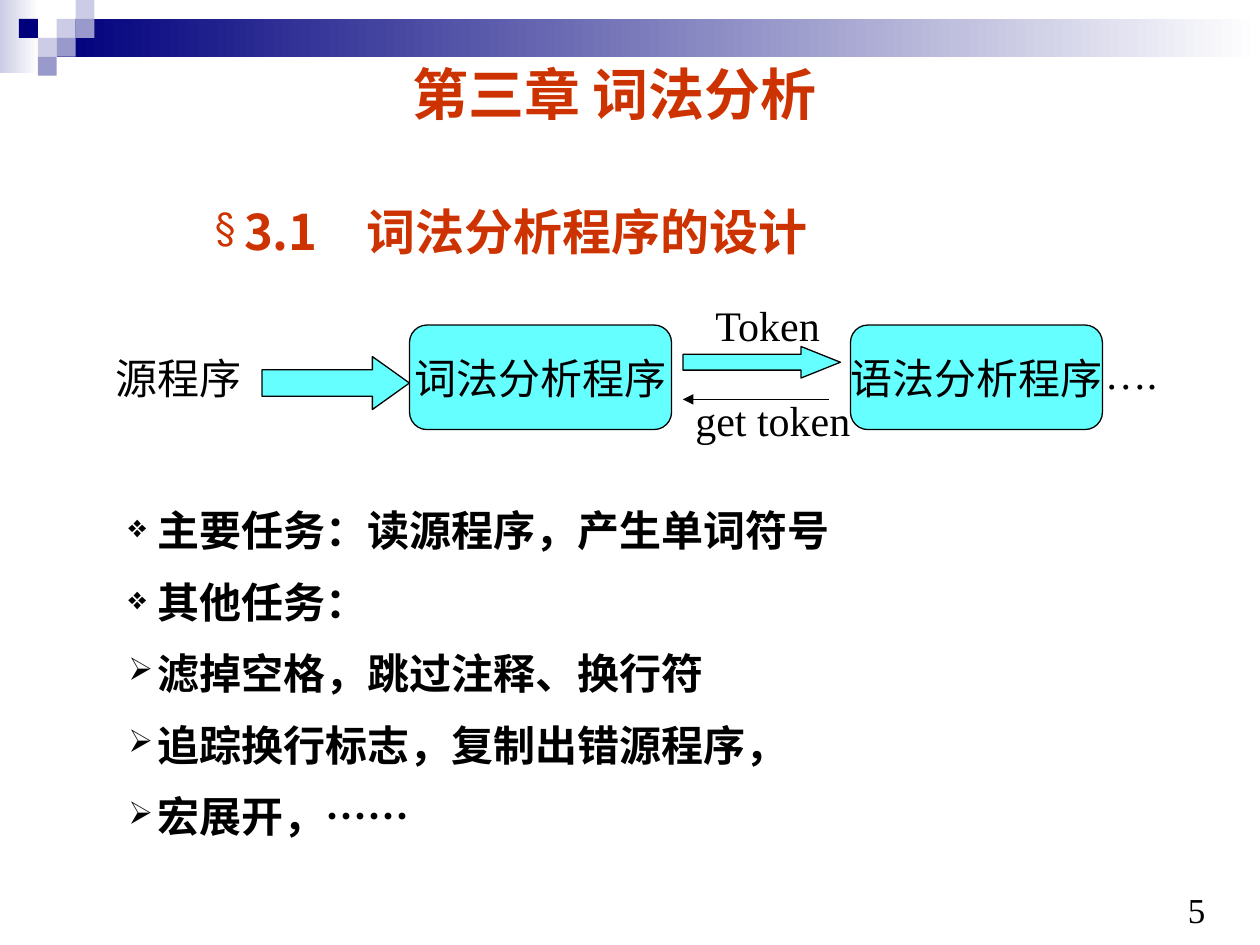
from lxml import etree
from pptx import Presentation
from pptx import util as u
from pptx.dml.color import RGBColor
from pptx.enum import shapes, text
from pptx.oxml.ns import qn

COLORS = {
    "navy": "00007D", "violet": "9999CC", "lilac": "CCCCE6", "white": "FFFFFF",
    "black": "000000", "red": "CC3300", "cyan": "66FFFF",
}
SERIF = "Times New Roman"
SANS = "Noto Sans CJK SC"
KIND = shapes.MSO_SHAPE


def rgb(name):
    """Return the named colour."""
    return RGBColor.from_string(COLORS[name])


def inches(box):
    """Turn a tuple of inch values into lengths."""
    return [u.Inches(value) for value in box]


def style(paragraph, size, color="black", face=SERIF, bold=False):
    """Set the font of a paragraph, with the Chinese face beside the Latin one."""
    font = paragraph.font
    font.size, font.bold, font.name = u.Pt(size), bold, face
    font.color.rgb = rgb(color)
    defaults = paragraph._p.pPr.find(qn("a:defRPr"))
    etree.SubElement(defaults, qn("a:ea"), typeface=SANS)


def add_bullet(paragraph, mark, color):
    """Give a paragraph a hanging bullet at three quarters of the text size."""
    properties = paragraph._p.get_or_add_pPr()
    hang = u.Inches(0.23)
    properties.set("marL", str(hang))
    properties.set("indent", str(-hang))
    tint = etree.SubElement(properties, qn("a:buClr"))
    etree.SubElement(tint, qn("a:srgbClr"), val=COLORS[color])
    etree.SubElement(properties, qn("a:buSzPct"), val="75000")
    etree.SubElement(properties, qn("a:buChar"), char=mark)


def add_block(slide, box, fill, kind=KIND.RECTANGLE, line=None, adjust=()):
    """Add a preset shape, filled with one colour or a pair to blend."""
    block = slide.shapes.add_shape(kind, *inches(box))
    block.shadow.inherit = False
    for index, value in enumerate(adjust):
        block.adjustments[index] = value
    if isinstance(fill, tuple):
        block.fill.gradient()
        block.fill.gradient_angle = 0
        for stop, color in zip(block.fill.gradient_stops, fill):
            stop.color.rgb = rgb(color)
    else:
        block.fill.solid()
        block.fill.fore_color.rgb = rgb(fill)
    if line:
        block.line.color.rgb = rgb(line)
        block.line.width = u.Pt(0.75)
    else:
        block.line.fill.background()
    return block


def add_label(slide, box, wording, size=24):
    """Add a one-line serif label."""
    label = slide.shapes.add_textbox(*inches(box)).text_frame
    label.word_wrap = True
    label.margin_right = 0
    label.text = wording
    style(label.paragraphs[0], size)


def add_banner(slide, box):
    """Draw the top band and its mosaic of squares."""
    left, top, width, unit = box
    add_block(slide, (left, top, 0.31, 0.58), ("lilac", "white"))
    add_block(slide, (left + 3 * unit, top + unit, width - 3 * unit, 2 * unit),
              ("navy", "white"))
    mosaic = [(3, 1, "lilac"), (4, 0, "lilac"), (4, 1, "violet"), (2, 2, "lilac"),
              (1, 1, "navy"), (3, 2, "violet"), (2, 3, "violet")]
    for column, row, color in mosaic:
        add_block(slide, (left + column * unit, top + row * unit, unit, unit), color)


def add_title(slide, box):
    """Place the chapter title."""
    title = slide.shapes.title
    title.left, title.top, title.width, title.height = inches(box)
    frame = title.text_frame
    frame.text = "第三章 词法分析"
    frame.auto_size = text.MSO_AUTO_SIZE.NONE
    frame.vertical_anchor = text.MSO_ANCHOR.TOP
    frame.paragraphs[0].alignment = text.PP_ALIGN.LEFT
    style(frame.paragraphs[0], 32, "red", SANS, True)


def add_list(slide, box, items, size, color="black", face=SERIF, line_spacing=1.0):
    """Add a bold bulleted list of (mark, wording) pairs."""
    frame = slide.shapes.add_textbox(*inches(box)).text_frame
    frame.word_wrap = True
    frame.text = "\n".join(wording for _, wording in items)
    for index, (mark, _) in enumerate(items):
        paragraph = frame.paragraphs[index]
        paragraph.line_spacing = line_spacing
        paragraph.space_before = u.Pt(15 if index else 0)
        add_bullet(paragraph, mark, color)
        style(paragraph, size, color, face, True)


def add_flow(slide, box):
    """Draw the flow from source program to lexer to parser."""
    left, top, _, height = box
    stage_top = top + 0.25
    stages = [(0, 1.17, "源程序", "white", "white"),
              (2.42, 2.08, "词法分析程序", "cyan", "black"),
              (5.92, 2, "语法分析程序", "cyan", "black")]
    for offset, width, wording, fill, line in stages:
        stage = add_block(slide, (left + offset, stage_top, width, height - 0.42),
                          fill, KIND.ROUNDED_RECTANGLE, line, (0.167,))
        frame = stage.text_frame
        frame.word_wrap = False
        frame.vertical_anchor = text.MSO_ANCHOR.MIDDLE
        frame.text = wording
        frame.paragraphs[0].alignment = text.PP_ALIGN.CENTER
        style(frame.paragraphs[0], 24)

    for offset, drop, width, depth, head in [(1.25, 0.5, 1.17, 0.42, 0.7),
                                             (4.59, 0.42, 1.25, 0.25, 1.25)]:
        add_block(slide, (left + offset, top + drop, width, depth), "cyan",
                  KIND.RIGHT_ARROW, "black", (0.5, head))

    request_y = top + 0.84
    request = slide.shapes.add_connector(
        shapes.MSO_CONNECTOR.STRAIGHT,
        *inches((left + 5.75, request_y, left + 4.59, request_y)))
    request.line.color.rgb = rgb("black")
    request.line.width = u.Pt(0.75)
    etree.SubElement(request.line._get_or_add_ln(), qn("a:tailEnd"), type="triangle")
    etree.SubElement(request._element.spPr, qn("a:effectLst"))

    for offset, drop, width, wording in [(4.75, 0, 1.05, "Token"),
                                         (4.59, 0.75, 1.43, "get token"),
                                         (7.84, 0.38, 0.65, "….")]:
        add_label(slide, (left + offset, top + drop, width, 0.5), wording)


def main():
    """Build and save the slide."""
    deck = Presentation()
    deck.slide_width, deck.slide_height = inches((10, 7.5))
    slide = deck.slides.add_slide(deck.slide_layouts[5])
    add_banner(slide, (0, 0, 10, 0.15))
    add_label(slide, (9.33, 7, 0.67, 0.44), "5", 20)
    add_title(slide, (3.17, 0.42, 4.25, 0.64))
    add_list(slide, (1.61, 1.55, 6.33, 0.57), [("§", "3.1　词法分析程序的设计")],
             28, "red", SANS)
    add_flow(slide, (0.83, 2.33, 8.45, 1.25))
    tasks = [("❖", "主要任务：读源程序，产生单词符号"),
             ("❖", "其他任务："),
             ("➢", "滤掉空格，跳过注释、换行符"),
             ("➢", "追踪换行标志，复制出错源程序，"),
             ("➢", "宏展开，……")]
    add_list(slide, (0.92, 4, 7.75, 2.74), tasks, 24, line_spacing=0.9)
    deck.save("out.pptx")


if __name__ == "__main__":
    main()
